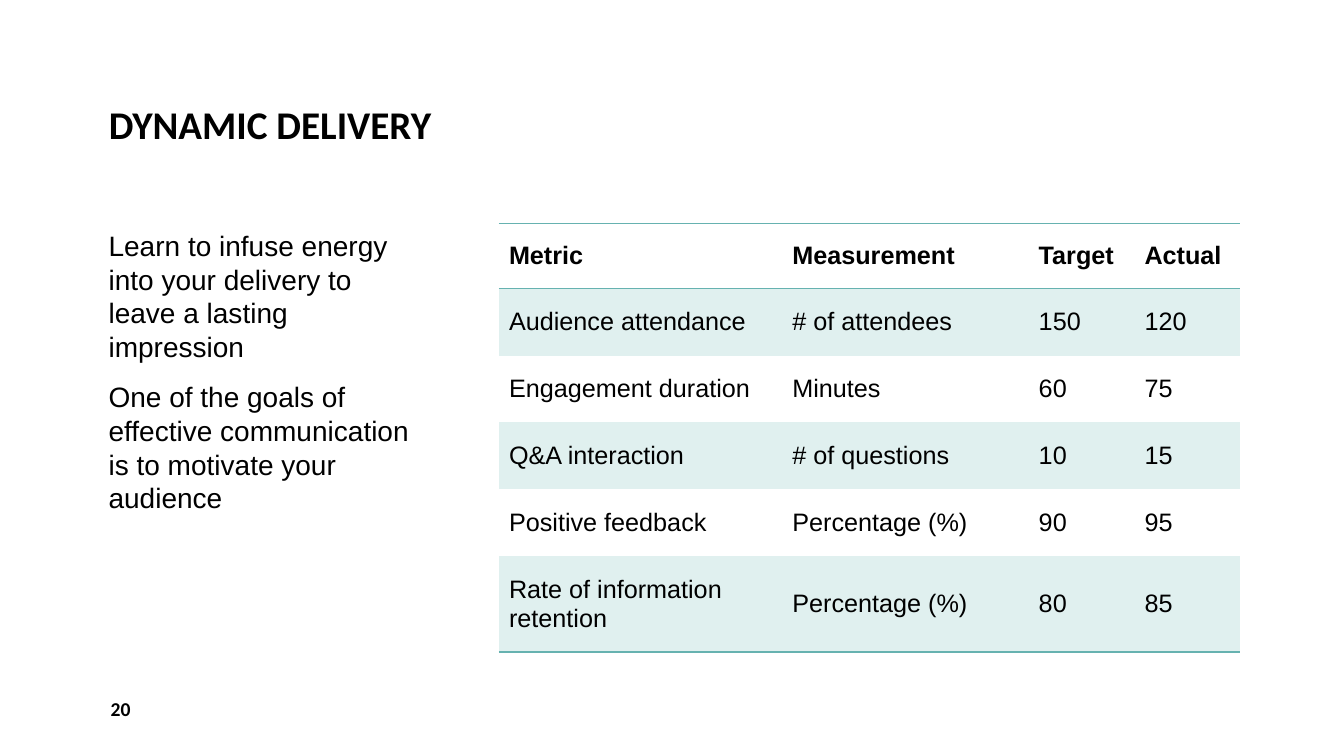
"""Build the Dynamic Delivery slide: a title, two remarks and a table of metrics."""
from dataclasses import dataclass

from lxml import etree
from pptx import Presentation
from pptx.dml.color import RGBColor as Rgb
from pptx.enum import text
from pptx.oxml import ns
from pptx.util import Pt

TITLE = "DYNAMIC DELIVERY"
NOTES = [
    "Learn to infuse energy into your delivery to leave a lasting impression",
    "One of the goals of effective communication is to motivate your audience",
]
ROWS = [
    ("Metric", "Measurement", "Target", "Actual"),
    ("Audience attendance", "# of attendees", "150", "120"),
    ("Engagement duration", "Minutes", "60", "75"),
    ("Q&A interaction", "# of questions", "10", "15"),
    ("Positive feedback", "Percentage (%)", "90", "95"),
    ("Rate of information retention", "Percentage (%)", "80", "85"),
]
PAGE = "20"

BOXES = {
    "title": (70.5, 10.8, 486, 98.6),
    "notes": (70.5, 159.8, 237.6, 307.4),
    "table": (356.4, 159.8, 529.6, 306),
    "page": (72, 491.8, 93.6, 28.8),
}
WIDTHS = (202.4, 176, 75.6, 75.6)
HEIGHTS = (46.4, 47.8, 47.8, 47.8, 47.8, 68.4)


@dataclass(frozen=True)
class Theme:
    """Colours, fonts and type sizes."""
    ink: str = "000000"
    band: str = "E0F0EF"
    rule: str = "66B2B0"
    head: str = "Calibri"
    body: str = "Arial"
    title: int = 28
    note: int = 20
    cell: int = 18
    page: int = 14


LOOK = Theme()


def style(para, face, size, bold=False):
    """Set the font of a paragraph."""
    font = para.font
    font.name, font.size, font.bold = face, Pt(size), bold
    font.color.rgb = Rgb.from_string(LOOK.ink)
    para.alignment = text.PP_ALIGN.LEFT


def place(shape, name):
    """Move a shape to its box."""
    shape.left, shape.top, shape.width, shape.height = map(Pt, BOXES[name])


def frame(shape, lines, anchor, face, size, bold=False):
    """Fill a text frame with styled paragraphs and return them."""
    body = shape.text_frame
    body.word_wrap = True
    body.auto_size = text.MSO_AUTO_SIZE.NONE
    body.vertical_anchor = anchor
    body.text = "\n".join(lines)
    for para in body.paragraphs:
        style(para, face, size, bold)
    return body.paragraphs


def edge(cell, sides):
    """Draw rules on the given sides of a cell, ahead of its fill."""
    props = cell._tc.get_or_add_tcPr()
    for spot, side in enumerate(sides):
        line = etree.Element(ns.qn(f"a:ln{side}"), w=str(Pt(1)))
        fill = etree.SubElement(line, ns.qn("a:solidFill"))
        etree.SubElement(fill, ns.qn("a:srgbClr"), val=LOOK.rule)
        props.insert(spot, line)


def grid(slide):
    """Add the table of metrics."""
    box = map(Pt, BOXES["table"])
    table = slide.shapes.add_table(len(ROWS), len(WIDTHS), *box).table
    table.horz_banding = False
    plain = table._tbl.tblPr.find(ns.qn("a:tableStyleId"))
    plain.text = "{2D5ABB26-0587-4C30-8999-92F81FD0307C}"
    for col, width in zip(table.columns, WIDTHS):
        col.width = Pt(width)
    last = len(ROWS) - 1
    for r, (row, words) in enumerate(zip(table.rows, ROWS)):
        row.height = Pt(HEIGHTS[r])
        for cell, word in zip(row.cells, words):
            cell.text = word
            cell.vertical_anchor = text.MSO_ANCHOR.MIDDLE
            style(cell.text_frame.paragraphs[0], LOOK.body, LOOK.cell, r == 0)
            if r % 2:
                cell.fill.solid()
                cell.fill.fore_color.rgb = Rgb.from_string(LOOK.band)
            else:
                cell.fill.background()
            edge(cell, {0: "TB", last: "B"}.get(r, ""))


def main():
    """Assemble and save the slide."""
    deck = Presentation()
    deck.slide_width, deck.slide_height = Pt(960), Pt(540)
    slide = deck.slides.add_slide(deck.slide_layouts[5])

    title = slide.shapes.title
    place(title, "title")
    head = frame(title, [TITLE], text.MSO_ANCHOR.BOTTOM, LOOK.head, LOOK.title, True)
    head[0].line_spacing = 0.9

    notes = slide.shapes.add_textbox(*map(Pt, BOXES["notes"]))
    for para in frame(notes, NOTES, text.MSO_ANCHOR.TOP, LOOK.body, LOOK.note):
        para.line_spacing = Pt(24)
        para.space_after = Pt(12)

    grid(slide)

    page = slide.shapes.add_textbox(*map(Pt, BOXES["page"]))
    frame(page, [PAGE], text.MSO_ANCHOR.MIDDLE, LOOK.head, LOOK.page, True)
    deck.save("out.pptx")


if __name__ == "__main__":
    main()
